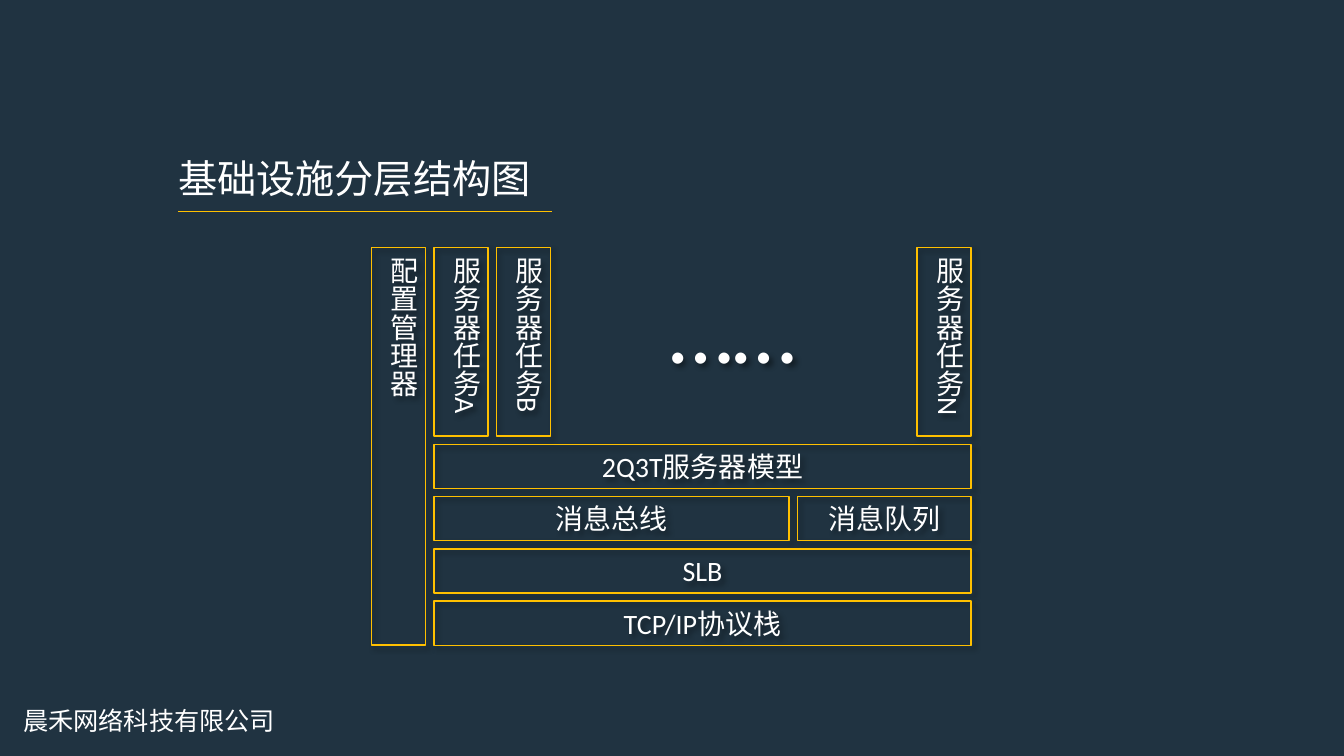
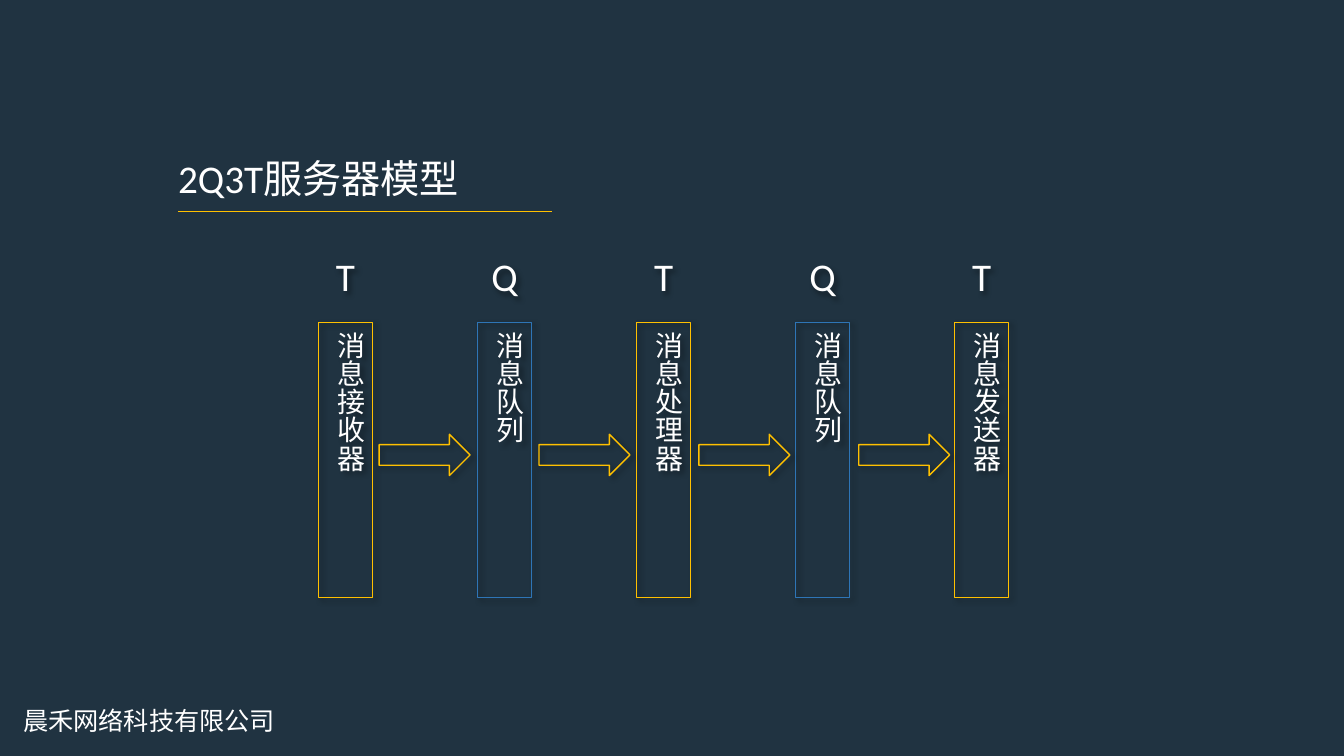
from lxml import etree
from pptx import Presentation
from pptx.dml.color import RGBColor
from pptx.enum.shapes import MSO_CONNECTOR, MSO_SHAPE
from pptx.enum.text import MSO_ANCHOR, MSO_AUTO_SIZE, PP_ALIGN
from pptx.oxml.ns import qn
from pptx.util import Pt

NAVY = RGBColor(0x20, 0x33, 0x41)
WHITE = RGBColor(0xFF, 0xFF, 0xFF)
GOLD = RGBColor(0xFF, 0xC0, 0x00)
BLUE = RGBColor(0x2E, 0x75, 0xB6)
FONT = "Calibri"
COMPANY = "晨禾网络科技有限公司"

RECTANGLE = MSO_SHAPE.RECTANGLE
RIGHT_ARROW = MSO_SHAPE.RIGHT_ARROW
STRAIGHT = MSO_CONNECTOR.STRAIGHT
LEFT, CENTER = PP_ALIGN.LEFT, PP_ALIGN.CENTER
TOP = MSO_ANCHOR.TOP
FIT_SHAPE = MSO_AUTO_SIZE.SHAPE_TO_FIT_TEXT

COLUMN_WIDTH = 38.6


def add_shadow(shape):
    shape.shadow.inherit = False
    effects = shape._element.spPr.find(qn("a:effectLst"))
    shadow = etree.SubElement(effects, qn("a:outerShdw"), blurRad=str(Pt(4)),
                              dist=str(Pt(3)), dir=str(45 * 60000),
                              algn="tl", rotWithShape="0")
    color = etree.SubElement(shadow, qn("a:srgbClr"), val="000000")
    etree.SubElement(color, qn("a:alpha"), val="40000")


def write_text(shape, text, size=20, align=LEFT, line_spacing=None, vertical=False):
    frame = shape.text_frame
    frame.word_wrap = True
    frame.auto_size = FIT_SHAPE
    frame.vertical_anchor = TOP
    if vertical:
        frame._txBody.bodyPr.set("vert", "eaVert")
    paragraph = frame.paragraphs[0]
    paragraph.alignment = align
    paragraph.line_spacing = line_spacing
    run = paragraph.add_run()
    run.text = text
    run.font.size = Pt(size)
    run.font.name = FONT
    run.font.color.rgb = WHITE


def add_label(slide, text, left, top, width, height, shadow=False, **text_format):
    shape = slide.shapes.add_textbox(Pt(left), Pt(top), Pt(width), Pt(height))
    if shadow:
        add_shadow(shape)
    write_text(shape, text, **text_format)


def add_outline(slide, left, top, width, height, kind=RECTANGLE, color=GOLD):
    """Add an unfilled, shadowed shape."""
    shape = slide.shapes.add_shape(kind, Pt(left), Pt(top), Pt(width), Pt(height))
    shape.fill.background()
    shape.line.color.rgb = color
    shape.line.width = Pt(1)
    add_shadow(shape)
    return shape


def add_layer(slide, text, left, top, width):
    layer = add_outline(slide, left, top, width, 31.5)
    write_text(layer, text, align=CENTER)


def add_column(slide, text, left, top, height, color=GOLD):
    column = add_outline(slide, left, top, COLUMN_WIDTH, height, color=color)
    write_text(column, text, align=CENTER, vertical=True)


def add_titled_slide(presentation, title):
    slide = presentation.slides.add_slide(presentation.slide_layouts[6])
    rule = slide.shapes.add_connector(STRAIGHT, Pt(127.5), Pt(151.2), Pt(394), Pt(151.2))
    rule.line.color.rgb = GOLD
    rule.line.width = Pt(1)
    etree.SubElement(rule._element.spPr, qn("a:effectLst"))
    add_label(slide, title, 120.2, 110.2, 299.5, 41, size=28, line_spacing=0.9)
    add_label(slide, COMPANY, 9.4, 502.6, 274.3, 26.6, size=18, line_spacing=0.9)
    return slide


def build_layers_slide(presentation):
    slide = add_titled_slide(presentation, "基础设施分层结构图")
    stack_left, stack_width = 310, 383.6
    stack_right = stack_left + stack_width
    queue_width, gap = 124, 6
    rows = [317.5 + 37.3 * row for row in range(4)]

    column_top, column_height = 176.7, 134.8
    column_pitch = 44.5
    add_column(slide, "配置管理器", stack_left - column_pitch, column_top, 284)
    for name, left in (("A", stack_left), ("B", stack_left + column_pitch),
                       ("N", stack_right - COLUMN_WIDTH)):
        add_column(slide, "服务器任务" + name, left, column_top, column_height)
    add_label(slide, "……", 470.9, 190, 121, 87, size=66, shadow=True)

    add_layer(slide, "2Q3T服务器模型", stack_left, rows[0], stack_width)
    add_layer(slide, "消息总线", stack_left, rows[1], stack_width - queue_width - gap)
    add_layer(slide, "消息队列", stack_right - queue_width, rows[1], queue_width)
    add_layer(slide, "SLB", stack_left, rows[2], stack_width)
    add_layer(slide, "TCP/IP协议栈", stack_left, rows[3], stack_width)


def build_model_slide(presentation):
    slide = add_titled_slide(presentation, "2Q3T服务器模型")
    stages = [("T", "消息接收器"), ("Q", "消息队列"), ("T", "消息处理器"),
              ("Q", "消息队列"), ("T", "消息发送器")]
    label_width = 36
    for index, (letter, name) in enumerate(stages):
        left = 227.5 + 113.6 * index
        add_column(slide, name, left, 230.2, 196.4, BLUE if letter == "Q" else GOLD)
        add_label(slide, letter, left + (COLUMN_WIDTH - label_width) / 2, 177,
                  label_width, 41, shadow=True, size=28, align=CENTER)
    for index in range(len(stages) - 1):
        add_outline(slide, 270.8 + 114.2 * index, 310.2, 65, 29.5, kind=RIGHT_ARROW)


def main():
    presentation = Presentation()
    presentation.slide_width = Pt(960)
    presentation.slide_height = Pt(540)
    background = presentation.slide_master.background.fill
    background.solid()
    background.fore_color.rgb = NAVY
    build_layers_slide(presentation)
    build_model_slide(presentation)
    presentation.save("out.pptx")


if __name__ == "__main__":
    main()
